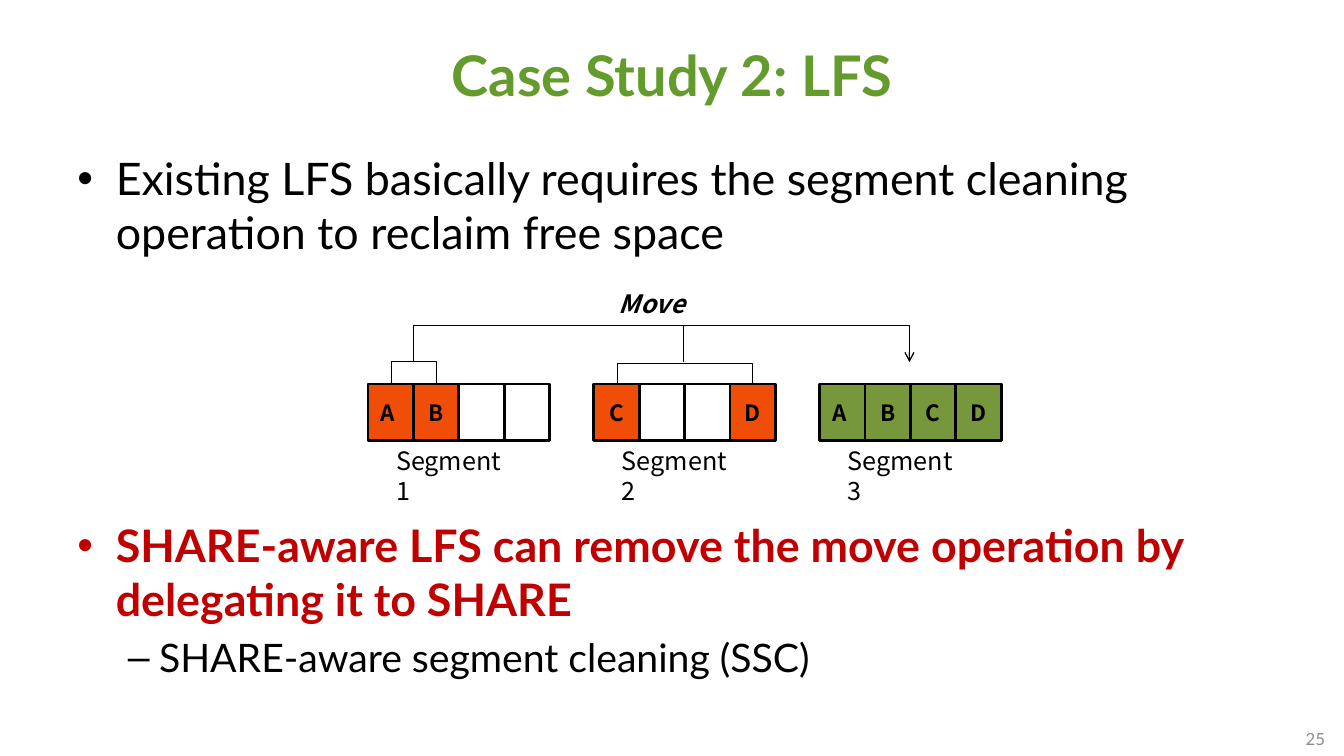
from lxml.etree import SubElement
from pptx import Presentation
from pptx.dml.color import RGBColor
from pptx.enum.shapes import MSO_SHAPE
from pptx.enum.text import MSO_ANCHOR as Anchor, PP_ALIGN as Align
from pptx.oxml.ns import qn
from pptx.util import Inches, Pt

HEADING, BODY = "Lato", "Noto Sans CJK KR"
BLACK, RED, ORANGE, GREEN, WHITE = "000000", "C00000", "F04E08", "77973D", "FFFFFF"


def color(value):
    return RGBColor.from_string(value)


def add_text(frame, text, size, font, fill=BLACK, bold=False, italic=False,
             align=Align.LEFT, new=False):
    frame.word_wrap = True
    paragraph = frame.add_paragraph() if new else frame.paragraphs[0]
    paragraph.alignment = align
    run = paragraph.add_run()
    run.text = text
    run.font.size = Pt(size)
    run.font.name = font
    run.font.bold = bold
    run.font.italic = italic
    run.font.color.rgb = color(fill)
    return paragraph


presentation = Presentation()
presentation.slide_width = Inches(13.33)
presentation.slide_height = Inches(7.5)
slide = presentation.slides.add_slide(presentation.slide_layouts[6])
shapes = slide.shapes

# Title and page number
for text, box, size, fill, bold, align in [
    ("Case Study 2: LFS", (0.68, 0.11, 11.97, 1.25), 40, "649B2D", True, Align.CENTER),
    ("25", (10.13, 7.13, 3.11, 0.4), 12, "8C8C8C", False, Align.RIGHT),
]:
    frame = shapes.add_textbox(*map(Inches, box)).text_frame
    frame.vertical_anchor = Anchor.MIDDLE
    add_text(frame, text, size, HEADING, fill, bold, align=align)

# Bullets above and below the diagram: text, size, colour, bold, bullet, margin, hang
bullet_boxes = [
    (1.45, 1.3, [("Existing LFS basically requires the segment cleaning operation "
                  "to reclaim free space", 32, BLACK, False, "•", 0.38, 0.38)]),
    (5.09, 1.95, [("SHARE-aware LFS can remove the move operation by delegating it to SHARE",
                   32, RED, True, "•", 0.38, 0.38),
                  ("SHARE-aware segment cleaning (SSC)", 28, BLACK, False, "–", 0.81, 0.31)]),
]
for top, height, items in bullet_boxes:
    frame = shapes.add_textbox(Inches(0.67), Inches(top), Inches(12), Inches(height)).text_frame
    for index, (text, size, fill, bold, bullet, margin, hang) in enumerate(items):
        paragraph = add_text(frame, text, size, HEADING, fill, bold, new=index > 0)
        if index:
            paragraph.level = 1
            paragraph.space_before = Pt(5.6)
        properties = paragraph._p.get_or_add_pPr()
        properties.set("marL", str(Inches(margin)))
        properties.set("indent", str(-Inches(hang)))
        SubElement(properties, qn("a:buFont")).set("typeface", "Arial")
        SubElement(properties, qn("a:buChar")).set("char", bullet)

# Segments of four blocks, each with its label
block_width, block_top, block_height = 0.45, 3.81, 0.56
segments = [
    ("Segment 1", 3.65, ORANGE, ["A ", "B", "", ""]),
    ("Segment 2", 5.89, ORANGE, ["C", "", "", "D"]),
    ("Segment 3", 8.13, GREEN, ["A ", "B", "C", "D"]),
]
for label, left, used_fill, blocks in segments:
    for index, letter in enumerate(blocks):
        block = shapes.add_shape(MSO_SHAPE.RECTANGLE, Inches(left + index * block_width),
                                 Inches(block_top), Inches(block_width), Inches(block_height))
        block.shadow.inherit = False
        block.fill.solid()
        block.fill.fore_color.rgb = color(used_fill if letter else WHITE)
        block.line.color.rgb = color(BLACK)
        block.line.width = Pt(2)
        if letter:
            block.text_frame.vertical_anchor = Anchor.MIDDLE
            add_text(block.text_frame, letter, 16, BODY, bold=True, align=Align.CENTER)
    label_box = shapes.add_textbox(Inches(left + 0.18), Inches(block_top + block_height),
                                   Inches(1.3), Inches(0.7))
    add_text(label_box.text_frame, label, 18, BODY)

# Brackets over the moved blocks and arrows to the new segment: x1, x2, foot, top, arrow
brackets = [
    (3.88, 4.33, 3.81, 3.59, False),
    (6.12, 7.46, 3.81, 3.61, False),
    (4.1, 9.02, 3.59, 3.23, True),
    (6.78, 9.02, 3.59, 3.23, True),
]
for start, end, foot, top, arrow in brackets:
    builder = shapes.build_freeform(Inches(start), Inches(foot))
    corners = [(start, top), (end, top), (end, foot)]
    builder.add_line_segments([(Inches(x), Inches(y)) for x, y in corners], close=False)
    bracket = builder.convert_to_shape()
    bracket.shadow.inherit = False
    bracket.fill.background()
    bracket.line.color.rgb = color(BLACK)
    bracket.line.width = Pt(0.75)
    if arrow:
        SubElement(bracket.line._get_or_add_ln(), qn("a:tailEnd")).set("type", "arrow")

move_box = shapes.add_textbox(Inches(6.04), Inches(2.81), Inches(1.47), Inches(0.4))
add_text(move_box.text_frame, "Move", 18, BODY, bold=True, italic=True)

presentation.save("out.pptx")
